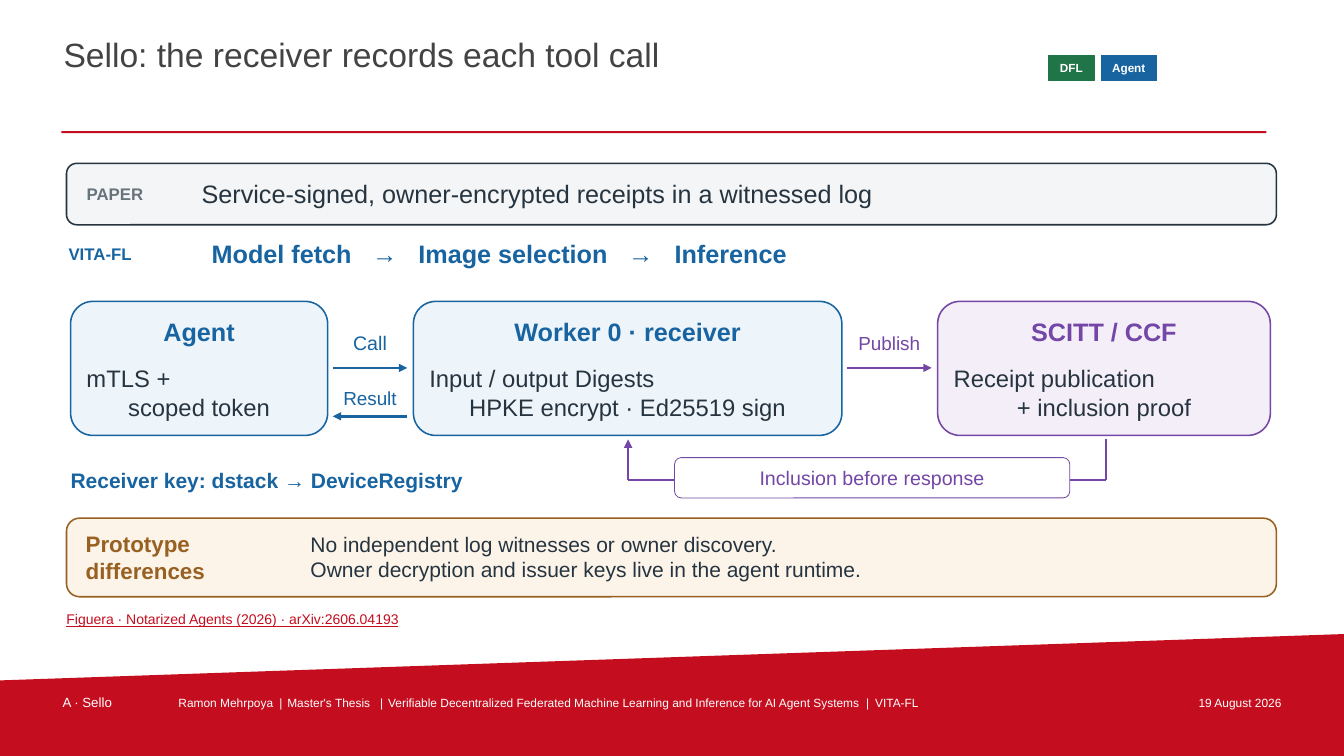
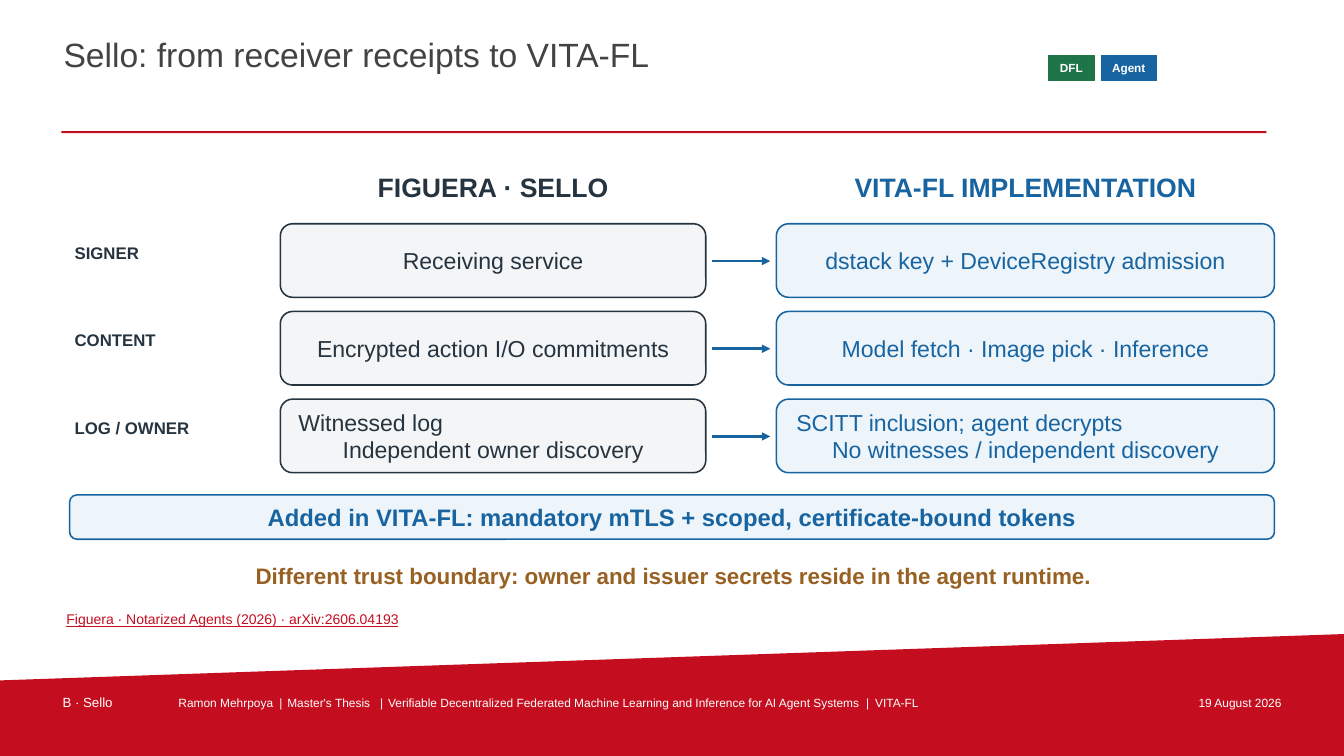
from dataclasses import dataclass

from lxml import etree
from pptx import Presentation
from pptx.dml.color import RGBColor
from pptx.enum.shapes import MSO_CONNECTOR, MSO_SHAPE
from pptx.enum.text import MSO_ANCHOR, PP_ALIGN
from pptx.oxml.ns import qn
from pptx.util import Inches, Pt

LEFT, CENTER, RIGHT = PP_ALIGN.LEFT, PP_ALIGN.CENTER, PP_ALIGN.RIGHT
TOP, MIDDLE = MSO_ANCHOR.TOP, MSO_ANCHOR.MIDDLE
RECT, ROUND = MSO_SHAPE.RECTANGLE, MSO_SHAPE.ROUNDED_RECTANGLE
STRAIGHT = MSO_CONNECTOR.STRAIGHT


@dataclass(frozen=True)
class Theme:
    font: str = "Arial"
    # Colours
    red: str = "C40D1E"
    title_grey: str = "434343"
    label_grey: str = "67747C"
    ink: str = "263440"
    blue: str = "1764A1"
    purple: str = "7446A6"
    brown: str = "986021"
    green: str = "207548"
    white: str = "FFFFFF"
    pale_grey: str = "F3F5F6"
    pale_blue: str = "EDF4FA"
    pale_purple: str = "F3EEF8"
    pale_brown: str = "FCF4E9"
    # Type sizes
    title: float = 24
    column: float = 19
    heading: float = 18
    body: float = 17
    cell: float = 16.5
    warning: float = 16
    note: float = 15
    arrow: float = 14
    arrow_small: float = 13.5
    label: float = 12
    source: float = 10
    section: float = 9.5
    footer: float = 8.5
    tag: float = 8.4
    # Line widths
    outline: float = 1.1
    stroke: float = 1.8


T = Theme()


def write(s, box, lines, size, color, bold=False, align=LEFT, kind=None,
          fill=None, line=None, weight=T.outline, pad=0, tabs=()):
    """Add a text box, or a filled shape of the given kind, one paragraph a line."""
    x, y, w, h = box
    frame = [Inches(v) for v in box]
    if kind is None:
        shp = s.shapes.add_textbox(*frame)
    else:
        shp = s.shapes.add_shape(kind, *frame)
        shp.shadow.inherit = False
        shp.fill.solid()
        shp.fill.fore_color.rgb = RGBColor.from_string(fill)
        if line:
            shp.line.color.rgb = RGBColor.from_string(line)
            shp.line.width = Pt(weight)
        else:
            shp.line.fill.background()
    tf = shp.text_frame
    tf.word_wrap = True
    tf.vertical_anchor = MIDDLE
    tf.margin_top = tf.margin_bottom = 0
    # A rounded corner already insets its text by about 5% of the short side
    corner = 0.05 * min(w, h) if kind == ROUND else 0
    tf.margin_left = tf.margin_right = Inches(max(pad - corner, 0))
    for i, text in enumerate(lines):
        p = tf.paragraphs[0] if i == 0 else tf.add_paragraph()
        p.text = text
        p.alignment = align
        if tabs:
            stops = etree.SubElement(p._p.get_or_add_pPr(), qn("a:tabLst"))
            for stop in tabs:
                etree.SubElement(stops, qn("a:tab"), pos=str(Inches(stop)), algn="l")
        p.font.name = T.font
        p.font.size = Pt(size)
        p.font.bold = bold
        p.font.color.rgb = RGBColor.from_string(color)
    return shp


def connect(s, x1, y1, x2, y2, color, head=True):
    """Add a straight line, with an arrowhead at its end if asked."""
    c = s.shapes.add_connector(STRAIGHT, *[Inches(v) for v in (x1, y1, x2, y2)])
    c.line.color.rgb = RGBColor.from_string(color)
    c.line.width = Pt(T.stroke)
    if head:
        etree.SubElement(c.line._get_or_add_ln(), qn("a:tailEnd"), type="triangle")
    etree.SubElement(c._element.spPr, qn("a:effectLst"))


prs = Presentation()
prs.slide_width, prs.slide_height = Inches(13.33), Inches(7.5)

# Title position, shared through the layout
layout = prs.slide_layouts[5]
title = layout.placeholders[0]
title.left, title.top, title.width, title.height = [
    Inches(v) for v in (0.61, 0.32, 9.65, 0.62)]
tf = title.text_frame
tf.margin_left = tf.margin_right = tf.margin_top = tf.margin_bottom = Inches(0.02)
tf.vertical_anchor = TOP

slides = [prs.slides.add_slide(layout) for _ in range(2)]
s = slides[0]

# Shared parts: slanted band, rule, footer and tags, moved to the layout
builder = s.shapes.build_freeform(0, Inches(6.75))
builder.add_line_segments([(Inches(x), Inches(y)) for x, y in
                           ((13.33, 6.29), (13.33, 7.5), (0, 7.5))], close=True)
band = builder.convert_to_shape()
band.shadow.inherit = False
band.fill.solid()
band.fill.fore_color.rgb = RGBColor.from_string(T.red)
band.line.fill.background()

write(s, (0.61, 1.3, 11.95, 0.02), [], T.footer, T.red, kind=RECT, fill=T.red)
write(s, (1.77, 6.86, 9.33, 0.22),
      ["Ramon Mehrpoya\t|\tMaster's Thesis\t|\tVerifiable Decentralized Federated "
       "Machine Learning and Inference for AI Agent Systems\t|\tVITA-FL"],
      T.footer, T.white, tabs=(1.0, 1.08, 2.0, 2.08, 6.82, 6.91))
write(s, (11.2, 6.86, 1.51, 0.22), ["19 August 2026"], T.footer, T.white, align=RIGHT)
for x, w, text, color in ((10.4, 0.45, "DFL", T.green), (10.92, 0.55, "Agent", T.blue)):
    write(s, (x, 0.55, w, 0.25), [text], T.tag, T.white, bold=True, align=CENTER,
          kind=RECT, fill=color, line=color, weight=0.55)

shared = [shp for shp in s.shapes if not shp.is_placeholder]
for i, shp in enumerate(shared):
    shp.element.xpath(".//p:cNvPr")[0].set("id", str(100 + i))
    layout.shapes.element.append(shp.element)

# Titles, section labels and source line
for s, heading, section in zip(
        slides,
        ("Sello: the receiver records each tool call",
         "Sello: from receiver receipts to VITA-FL"),
        ("A · Sello", "B · Sello")):
    s.shapes.title.text = heading
    p = s.shapes.title.text_frame.paragraphs[0]
    p.alignment = LEFT
    p.font.name = T.font
    p.font.size = Pt(T.title)
    p.font.color.rgb = RGBColor.from_string(T.title_grey)
    write(s, (0.62, 6.86, 1.08, 0.22), [section], T.section, T.white)
    source = write(s, (0.66, 6.04, 12, 0.2),
                   ["Figuera · Notarized Agents (2026) · arXiv:2606.04193"],
                   T.source, T.red)
    source.text_frame.paragraphs[0].font.underline = True

# Slide 1: paper banner and implementation line
s = slides[0]
write(s, (0.66, 1.62, 12, 0.61), [], T.body, T.ink, kind=ROUND,
      fill=T.pale_grey, line=T.ink)
write(s, (0.86, 1.8, 1.08, 0.25), ["PAPER"], T.label, T.label_grey, bold=True)
write(s, (2, 1.75, 10.4, 0.34),
      ["Service-signed, owner-encrypted receipts in a witnessed log"], T.heading, T.ink)
write(s, (0.68, 2.39, 1.32, 0.25), ["VITA-FL"], T.label, T.blue, bold=True)
write(s, (2.1, 2.33, 10.48, 0.36), ["Model fetch\t→\tImage selection\t→\tInference"],
      T.heading, T.blue, bold=True, tabs=(1.59, 2.05, 4.13, 4.59))

# Slide 1: cards
cards = (
    (0.7, 2.55, T.blue, T.pale_blue, ["Agent", "mTLS +", "scoped token"]),
    (4.1, 4.25, T.blue, T.pale_blue,
     ["Worker 0 · receiver", "Input / output Digests", "HPKE encrypt · Ed25519 sign"]),
    (9.3, 3.3, T.purple, T.pale_purple,
     ["SCITT / CCF", "Receipt publication", "+ inclusion proof"]),
)
for x, w, color, fill, lines in cards:
    card = write(s, (x, 2.99, w, 1.33), lines, T.body, T.ink, align=CENTER,
                 kind=ROUND, fill=fill, line=color, pad=0.16)
    head, first, _ = card.text_frame.paragraphs
    head.font.size = Pt(T.heading)
    head.font.bold = True
    head.font.color.rgb = RGBColor.from_string(color)
    head.space_after = Pt(12.5)
    first.alignment = LEFT

# Slide 1: labelled arrows between the cards
for x1, x2, y, text, size, color in (
        (3.3, 4.04, 3.65, "Call", T.arrow, T.blue),
        (4.04, 3.3, 4.13, "Result", T.arrow_small, T.blue),
        (8.4, 9.24, 3.65, "Publish", T.arrow_small, T.purple)):
    connect(s, x1, y, x2, y, color)
    write(s, ((x1 + x2) / 2 - 0.43, y - 0.39 if y < 4 else y - 0.32, 0.86, 0.28),
          [text], size, color, align=CENTER)

# Slide 1: return path from the log to the receiver
path_points = ((10.97, 4.36), (10.97, 4.76), (6.23, 4.76), (6.23, 4.36))
for i, (start, end) in enumerate(zip(path_points, path_points[1:])):
    connect(s, *start, *end, T.purple, head=i == 2)
write(s, (6.69, 4.54, 3.92, 0.4), ["Inclusion before response"], T.arrow, T.purple,
      align=CENTER, kind=ROUND, fill=T.white, line=T.purple, weight=0.6)
write(s, (0.7, 4.59, 5.3, 0.35), ["Receiver key: dstack → DeviceRegistry"],
      T.note, T.blue, bold=True)

# Slide 1: prototype differences
write(s, (0.66, 5.14, 12, 0.78), [], T.body, T.ink, kind=ROUND,
      fill=T.pale_brown, line=T.brown)
write(s, (0.85, 5.21, 2.1, 0.64), ["Prototype", "differences"],
      T.warning, T.brown, bold=True)
write(s, (3.08, 5.22, 9.33, 0.61),
      ["No independent log witnesses or owner discovery.",
       "Owner decryption and issuer keys live in the agent runtime."], T.note, T.ink)

# Slide 2: comparison columns (left, width, padding, colour, fill, heading)
s = slides[1]
columns = (
    (2.78, 4.22, 0.18, T.ink, T.pale_grey, "FIGUERA · SELLO"),
    (7.7, 4.94, 0.2, T.blue, T.pale_blue, "VITA-FL IMPLEMENTATION"),
)
rows = (
    ("SIGNER", ["Receiving service"], ["dstack key + DeviceRegistry admission"]),
    ("CONTENT", ["Encrypted action I/O commitments"],
     ["Model fetch · Image pick · Inference"]),
    ("LOG / OWNER", ["Witnessed log", "Independent owner discovery"],
     ["SCITT inclusion; agent decrypts", "No witnesses / independent discovery"]),
)
for x, w, pad, color, fill, heading in columns:
    write(s, (x, 1.66, w, 0.38), [heading], T.column, color, bold=True, align=CENTER)
for i, (label, *cells) in enumerate(rows):
    y = 2.22 + 0.87 * i
    write(s, (0.74, y + 0.16, 1.93, 0.25), [label], T.label, T.ink, bold=True)
    for (x, w, pad, color, fill, _), lines in zip(columns, cells):
        cell = write(s, (x, y, w, 0.73), lines, T.cell, color, align=CENTER,
                     kind=ROUND, fill=fill, line=color, pad=pad)
        if len(lines) > 1:
            cell.text_frame.paragraphs[0].alignment = LEFT
    connect(s, 7.06, y + 0.37, 7.64, y + 0.37, T.blue)

# Slide 2: addition and trust boundary
write(s, (0.69, 4.91, 11.95, 0.44),
      ["Added in VITA-FL: mandatory mTLS + scoped, certificate-bound tokens"],
      T.body, T.blue, bold=True, align=CENTER, kind=ROUND, fill=T.pale_blue, line=T.blue)
write(s, (0.74, 5.53, 11.88, 0.35),
      ["Different trust boundary: owner and issuer secrets reside in the agent runtime."],
      T.warning, T.brown, bold=True, align=CENTER)

prs.save("out.pptx")
